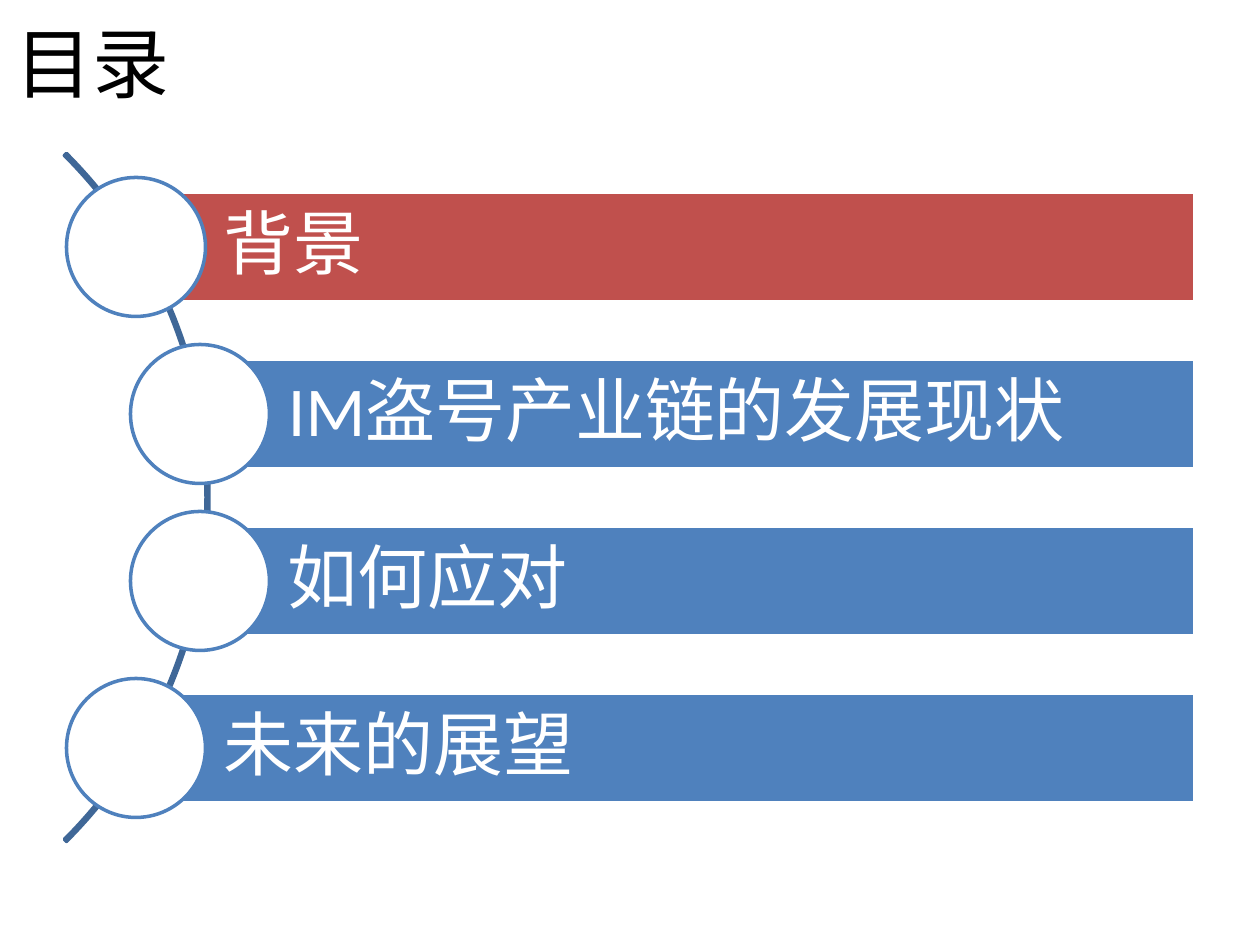
from dataclasses import dataclass

from lxml.etree import SubElement
from pptx import Presentation
from pptx.dml.color import RGBColor
from pptx.enum.shapes import MSO_SHAPE
from pptx.enum.text import MSO_ANCHOR, PP_ALIGN
from pptx.oxml.ns import qn
from pptx.util import Emu, Pt

SCALE = 914400 / 126


def px(n):
    return Emu(round(n * SCALE))


@dataclass(frozen=True)
class Theme:
    ink: str = "000000"
    paper: str = "FFFFFF"
    blue: str = "4F81BD"
    red: str = "C0504D"
    arc: str = "3F6797"
    latin: str = "Calibri"
    han: str = "Noto Sans CJK SC"
    head: int = 44
    body: int = 40
    line: int = 2


class Deck:
    """Holds the theme and the current slide."""

    def __init__(self, theme, slide):
        self.theme = theme
        self.slide = slide

    def label(self, frame, text, size, color, face):
        frame.text = text
        frame.word_wrap = True
        frame.vertical_anchor = MSO_ANCHOR.MIDDLE
        line = frame.paragraphs[0]
        line.alignment = PP_ALIGN.LEFT
        font = line.runs[0].font
        font.size = Pt(size)
        font.name = face
        font.color.rgb = RGBColor.from_string(color)
        SubElement(font._element, qn("a:ea"), typeface=self.theme.han)
        return line

    def title(self, text, x, y, w, h):
        t = self.theme
        box = self.slide.shapes.title
        box.left, box.top, box.width, box.height = map(px, (x, y, w, h))
        self.label(box.text_frame, text, t.head, t.ink, t.han)

    def shape(self, kind, x, y, w, h, fill, line):
        item = self.slide.shapes.add_shape(kind, *map(px, (x, y, w, h)))
        item.shadow.inherit = False
        item.fill.solid()
        item.fill.fore_color.rgb = RGBColor.from_string(fill)
        item.line.color.rgb = RGBColor.from_string(line)
        item.line.width = Pt(self.theme.line)
        return item

    def arc(self, x, y, size):
        """Draw a hairline arc from 315 to 45 degrees."""
        color = self.theme.arc
        item = self.shape(MSO_SHAPE.BLOCK_ARC, x, y, size, size, color, color)
        for i, value in enumerate((189, 27, 0.003)):
            item.adjustments[i] = value

    def bar(self, text, x, y, w, h, fill):
        t = self.theme
        item = self.shape(MSO_SHAPE.RECTANGLE, x, y, w, h, fill, t.paper)
        frame = item.text_frame
        frame.margin_left = px(88)
        frame.margin_top = frame.margin_right = frame.margin_bottom = px(14)
        self.label(frame, text, t.body, t.paper, t.latin).line_spacing = 0.9

    def dot(self, x, y, size):
        """Draw a ring centred on a point."""
        t = self.theme
        self.shape(MSO_SHAPE.OVAL, x - size / 2, y - size / 2, size, size,
                   t.paper, t.blue)


def main():
    show = Presentation()
    show.slide_width, show.slide_height = px(1260), px(945)
    theme = Theme()
    deck = Deck(theme, show.slides.add_slide(show.slide_layouts[5]))

    deck.title("目录", 3, 8, 1134, 108)
    deck.arc(-764, 11, 973)

    right, high, first, step = 1195, 110, 247, 167
    topics = (
        ("背景", 136, theme.red),
        ("IM盗号产业链的发展现状", 200, theme.blue),
        ("如何应对", 200, theme.blue),
        ("未来的展望", 136, theme.blue),
    )
    for i, (text, x, fill) in enumerate(topics):
        mid = first + i * step
        deck.bar(text, x, mid - high / 2, right - x, high, fill)
        deck.dot(x, mid, 139)

    show.save("out.pptx")


if __name__ == "__main__":
    main()
